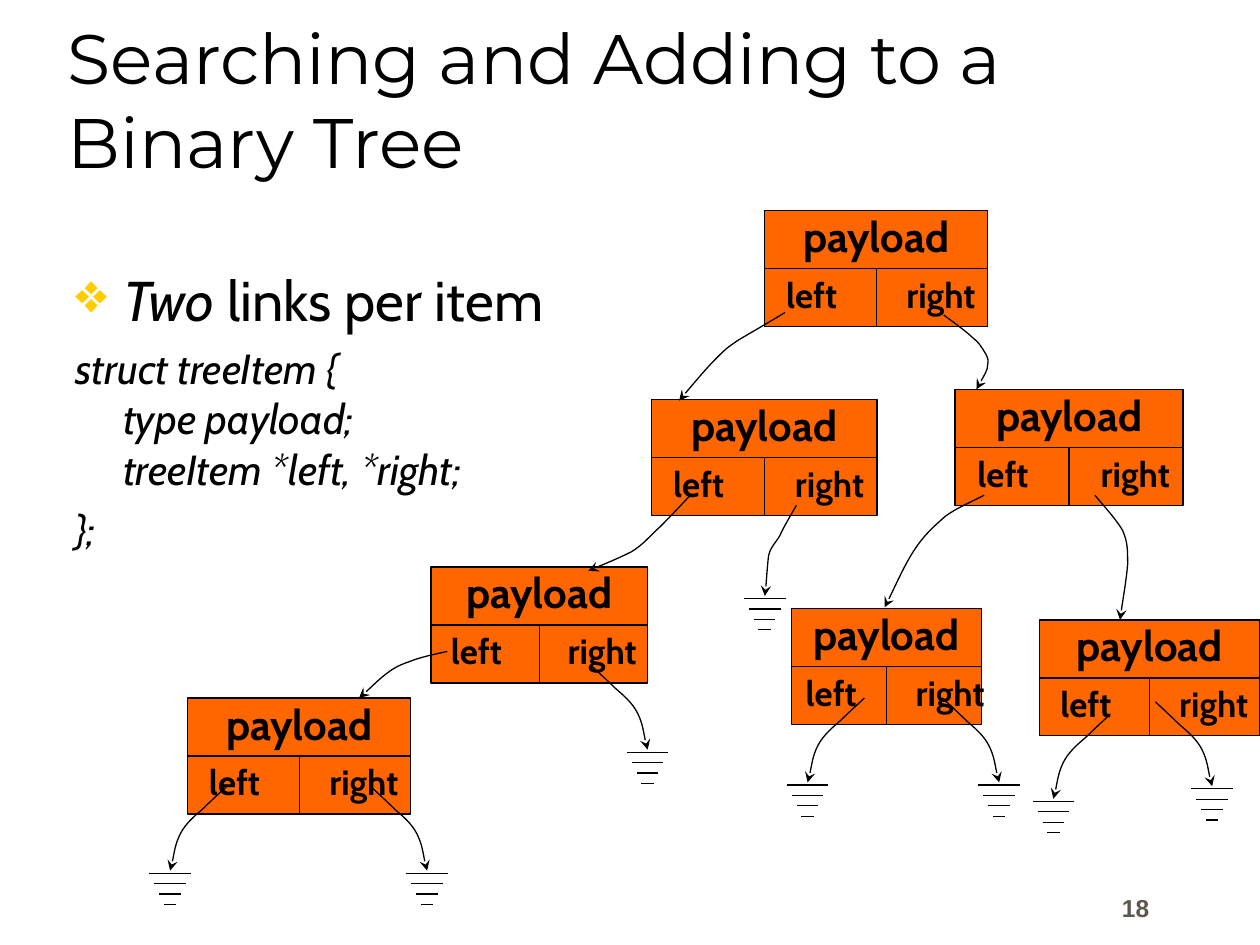
from lxml.etree import SubElement
from pptx import Presentation
from pptx.dml.color import RGBColor
from pptx.enum.shapes import MSO_CONNECTOR, MSO_SHAPE
from pptx.enum.text import MSO_ANCHOR, PP_ALIGN
from pptx.oxml.ns import qn
from pptx.util import Inches, Pt

BLACK, ORANGE, YELLOW, GREY = "000000", "FF6600", "FFCC00", "5E574E"


def colour(hex_string):
    return RGBColor.from_string(hex_string)


class TreeSlide:
    title_font, body_font, number_font = "Montserrat", "Cabin", "Arial"
    line_width = Pt(0.75)
    hanging = Inches(0.38)

    def __init__(self, presentation):
        self.slide = presentation.slides.add_slide(presentation.slide_layouts[6])
        self.shapes = self.slide.shapes

    def style_line(self, shape):
        shape.line.color.rgb = colour(BLACK)
        shape.line.width = self.line_width

    def format(self, paragraph, font, size, hex_string=BLACK, bold=False, italic=False):
        for run in paragraph.runs:
            run.font.name = font
            run.font.size = Pt(size)
            run.font.color.rgb = colour(hex_string)
            run.font.bold = bold
            run.font.italic = italic

    def text_box(self, left, top, width, height, anchor, margins=True):
        box = self.shapes.add_textbox(*map(Inches, (left, top, width, height)))
        text_frame = box.text_frame
        text_frame.word_wrap = True
        text_frame.vertical_anchor = anchor
        if not margins:
            text_frame.margin_left = text_frame.margin_right = 0
            text_frame.margin_top = text_frame.margin_bottom = 0
        return text_frame

    def label(self, text, left, top, width, height, size):
        text_frame = self.text_box(left, top, width, height, MSO_ANCHOR.MIDDLE, margins=False)
        text_frame.text = text
        paragraph = text_frame.paragraphs[0]
        paragraph.alignment = PP_ALIGN.CENTER
        self.format(paragraph, self.body_font, size, bold=True)

    def hang(self, paragraph, bullet=None):
        properties = paragraph._p.get_or_add_pPr()
        properties.set("marL", str(self.hanging))
        properties.set("indent", str(-self.hanging))
        if bullet:
            bullet_colour = SubElement(properties, qn("a:buClr"))
            SubElement(bullet_colour, qn("a:srgbClr")).set("val", YELLOW)
            SubElement(properties, qn("a:buChar")).set("char", bullet)
        else:
            SubElement(properties, qn("a:buNone"))

    def line(self, start_x, start_y, end_x, end_y):
        points = map(Inches, (start_x, start_y, end_x, end_y))
        connector = self.shapes.add_connector(MSO_CONNECTOR.STRAIGHT, *points)
        self.style_line(connector)
        SubElement(connector._element.spPr, qn("a:effectLst"))

    def node(self, left, top, width, right_width=None):
        """A tree item: payload above, left and right links below."""
        height, row = 0.92, 0.46
        box = self.shapes.add_shape(
            MSO_SHAPE.RECTANGLE, *map(Inches, (left, top, width, height)))
        box.shadow.inherit = False
        box.fill.solid()
        box.fill.fore_color.rgb = colour(ORANGE)
        self.style_line(box)
        middle = left + width / 2
        self.line(left, top + row, left + width, top + row)
        self.line(middle, top + row, middle, top + height)
        link_width = 0.42 * width
        self.label("left", left, top + 0.5, link_width, 0.33, 20)
        self.label("right", left + width - link_width, top + 0.5,
                   right_width or link_width, 0.33, 20)
        self.label("payload", left, top, width, 0.4, 24)

    def curve(self, points):
        """Arrow along cubic curves: a start, then three points per curve."""
        points = [(Inches(x), Inches(y)) for x, y in points]
        builder = self.shapes.build_freeform(*points[0])
        builder.add_line_segments(points[1:], close=False)
        shape = builder.convert_to_shape()
        shape.shadow.inherit = False
        shape.fill.background()
        self.style_line(shape)
        outline = shape._element.spPr.find(qn("a:ln"))
        SubElement(outline, qn("a:tailEnd")).set("type", "stealth")
        # Turn each three straight segments into one cubic curve
        path = shape._element.find(".//" + qn("a:path"))
        segments = path.findall(qn("a:lnTo"))
        for index, segment in enumerate(segments):
            if index % 3 == 0:
                cubic = SubElement(path, qn("a:cubicBezTo"))
            cubic.append(segment[0])
            path.remove(segment)

    def ground(self, center, top):
        for index, width in enumerate((0.33, 0.25, 0.17, 0.1)):
            y = top + index * 0.083
            self.line(center - width / 2, y, center + width / 2, y)

    def null_link(self, x, y, side):
        """Curve to a ground symbol; side is 1 for right, -1 for left."""
        self.curve([(x + side * dx, y + dy) for dx, dy in NULL_CURVE])
        self.ground(x + side * 0.45, y + 0.69)


NULL_CURVE = [(0, 0), (0.03, 0.03), (0.13, 0.12), (0.19, 0.18), (0.26, 0.24),
              (0.33, 0.3), (0.37, 0.38), (0.41, 0.46), (0.43, 0.61), (0.45, 0.67)]

NODES = [(6.07, 1.67, 1.77), (5.17, 3.17, 1.79), (7.58, 3.09, 1.81),
         (8.25, 4.92, 1.75), (6.28, 4.83, 1.51, 0.77), (3.42, 4.5, 1.72),
         (1.49, 5.54, 1.77)]

NULL_LINKS = [(9.17, 5.57, 1), (7.48, 5.54, 1), (6.86, 5.54, -1), (8.81, 5.67, -1),
              (1.8, 6.24, -1), (2.94, 6.24, 1), (4.69, 5.28, 1)]

CHILD_LINKS = [
    [(8.69, 3.93), (8.72, 3.97), (8.86, 4.12), (8.91, 4.21), (8.95, 4.3),
     (8.95, 4.36), (8.95, 4.48), (8.94, 4.6), (8.9, 4.83), (8.89, 4.92)],
    [(7.81, 3.93), (7.76, 3.96), (7.59, 4.03), (7.5, 4.1), (7.41, 4.18),
     (7.34, 4.24), (7.26, 4.36), (7.18, 4.48), (7.07, 4.73), (7.02, 4.82)],
    [(7.49, 2.5), (7.53, 2.53), (7.67, 2.63), (7.72, 2.68), (7.77, 2.72),
     (7.78, 2.74), (7.8, 2.77), (7.82, 2.81), (7.85, 2.83), (7.84, 2.89),
     (7.84, 2.94), (7.77, 3.05), (7.75, 3.09)],
    [(5.49, 3.92), (5.45, 3.96), (5.32, 4.1), (5.24, 4.18), (5.16, 4.25),
     (5.11, 4.32), (5.01, 4.38), (4.91, 4.43), (4.74, 4.5), (4.67, 4.53)],
    [(3.55, 5.17), (3.51, 5.18), (3.36, 5.21), (3.28, 5.24), (3.2, 5.27),
     (3.16, 5.28), (3.09, 5.33), (3.02, 5.38), (2.9, 5.5), (2.85, 5.54)],
    [(6.23, 2.48), (6.17, 2.52), (5.96, 2.64), (5.86, 2.7), (5.77, 2.76),
     (5.76, 2.77), (5.68, 2.85), (5.6, 2.93), (5.45, 3.11), (5.39, 3.18)],
]

STEEP_NULL_CURVE = [(6.32, 4.01), (6.3, 4.05), (6.22, 4.18), (6.19, 4.25), (6.15, 4.32),
                    (6.12, 4.33), (6.1, 4.41), (6.09, 4.49), (6.08, 4.66), (6.07, 4.73)]


def main():
    presentation = Presentation()
    presentation.slide_width, presentation.slide_height = Inches(10), Inches(7.5)
    tree = TreeSlide(presentation)

    # Title
    title = tree.text_box(0.44, 0.25, 8.5, 1.25, MSO_ANCHOR.BOTTOM)
    title.text = "Searching and Adding to a Binary Tree"
    tree.format(title.paragraphs[0], tree.title_font, 40)

    # Bullet and structure definition
    body = tree.text_box(0.5, 2.06, 8.94, 4.56, MSO_ANCHOR.TOP)
    bullet = body.paragraphs[0]
    tree.hang(bullet, "❖")
    for text in ("Two ", "links per item"):
        bullet.add_run().text = text
    tree.format(bullet, tree.body_font, 32)
    bullet.runs[0].font.italic = True
    for text in ("struct treeItem {\vtype payload;\vtreeItem *left, *right;", "};"):
        paragraph = body.add_paragraph()
        tree.hang(paragraph)
        paragraph.text = text
        paragraph.space_before = Pt(5.5)
        tree.format(paragraph, tree.body_font, 24, italic=True)

    # Tree items and their links
    for node in NODES:
        tree.node(*node)
    for link in NULL_LINKS:
        tree.null_link(*link)
    for points in CHILD_LINKS + [STEEP_NULL_CURVE]:
        tree.curve(points)
    tree.ground(6.07, 4.75)

    # Slide number
    number = tree.text_box(7.22, 6.81, 2, 0.56, MSO_ANCHOR.BOTTOM)
    number.text = "18"
    number.paragraphs[0].alignment = PP_ALIGN.RIGHT
    tree.format(number.paragraphs[0], tree.number_font, 14, GREY, bold=True)

    presentation.save("out.pptx")


if __name__ == "__main__":
    main()
